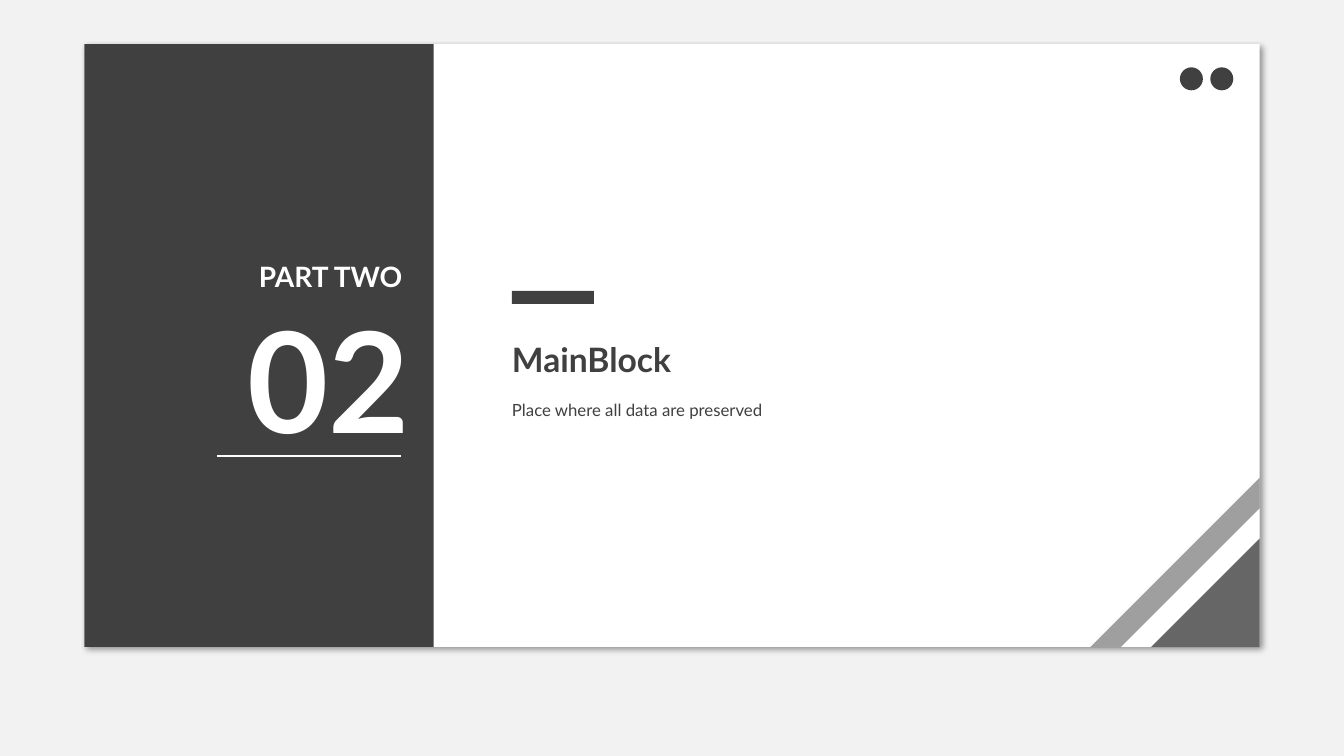
import lxml.etree
import pptx
import pptx.dml.color
import pptx.enum.shapes
import pptx.enum.text
import pptx.oxml.ns
import pptx.util

Pt = pptx.util.Pt
RGBColor = pptx.dml.color.RGBColor
Shape = pptx.enum.shapes.MSO_SHAPE
Align = pptx.enum.text.PP_ALIGN
qn = pptx.oxml.ns.qn

DARK = RGBColor(0x40, 0x40, 0x40)
WHITE = RGBColor(0xFF, 0xFF, 0xFF)
BACKGROUND = RGBColor(0xF2, 0xF2, 0xF2)
BLACK = RGBColor(0, 0, 0)


class SlideBuilder:
    font_name = "Lato"

    def __init__(self, slide):
        self.slide = slide
        fill = slide.background.fill
        fill.solid()
        fill.fore_color.rgb = BACKGROUND

    def set_alpha(self, color, percent):
        alpha = lxml.etree.SubElement(color, qn("a:alpha"))
        alpha.set("val", str(percent * 1000))

    def shape(self, kind, box, color, opacity=100, flipped=False):
        shape = self.slide.shapes.add_shape(kind, *map(Pt, box))
        shape.shadow.inherit = False
        shape.fill.solid()
        shape.fill.fore_color.rgb = color
        shape.line.fill.background()
        properties = shape._element.spPr
        if opacity < 100:
            self.set_alpha(properties.find(qn("a:solidFill"))[0], opacity)
        if flipped:
            properties.find(qn("a:xfrm")).set("flipH", "1")
        return shape

    def drop_shadow(self, shape, blur, distance, angle, opacity):
        effects = shape._element.spPr.find(qn("a:effectLst"))
        shadow = lxml.etree.SubElement(effects, qn("a:outerShdw"))
        values = {"blurRad": Pt(blur), "dist": Pt(distance),
                  "dir": angle * 60000, "algn": "tl", "rotWithShape": 0}
        for name, value in values.items():
            shadow.set(name, str(int(value) if name != "algn" else value))
        color = lxml.etree.SubElement(shadow, qn("a:srgbClr"))
        color.set("val", str(BLACK))
        self.set_alpha(color, opacity)

    def line(self, start, end, color, width):
        connector = self.slide.shapes.add_connector(
            pptx.enum.shapes.MSO_CONNECTOR.STRAIGHT, *map(Pt, start + end))
        connector.line.color.rgb = color
        connector.line.width = Pt(width)
        lxml.etree.SubElement(connector._element.spPr, qn("a:effectLst"))

    def text(self, box, wording, color, size, bold=False, **paragraph_format):
        frame = self.slide.shapes.add_textbox(*map(Pt, box)).text_frame
        frame.word_wrap = True
        frame.auto_size = pptx.enum.text.MSO_AUTO_SIZE.SHAPE_TO_FIT_TEXT
        paragraph = frame.paragraphs[0]
        for name, value in paragraph_format.items():
            setattr(paragraph, name, value)
        run = paragraph.add_run()
        run.text = wording
        run.font.color.rgb = color
        font_format = {"name": self.font_name, "size": Pt(size), "bold": bold}
        for name, value in font_format.items():
            setattr(run.font, name, value)


presentation = pptx.Presentation()
presentation.slide_width = Pt(960)
presentation.slide_height = Pt(540)
slide = presentation.slides.add_slide(presentation.slide_layouts[6])
builder = SlideBuilder(slide)

card_left, card_top, card_width, card_height = 60.3, 31.5, 839.5, 430.7
card_right = card_left + card_width
card_bottom = card_top + card_height
card = builder.shape(
    Shape.RECTANGLE, (card_left, card_top, card_width, card_height), WHITE)
builder.drop_shadow(card, blur=4, distance=3, angle=45, opacity=40)
builder.shape(Shape.RECTANGLE, (card_left, card_top, 249.5, card_height), DARK)

for side, color, opacity in ((121, DARK, 50), (99, WHITE, 100), (77.5, DARK, 80)):
    corner = (card_right - side, card_bottom - side, side, side)
    builder.shape(Shape.RIGHT_TRIANGLE, corner, color, opacity, flipped=True)

builder.line((155, 325.5), (286.2, 325.5), WHITE, 1.5)
builder.text((151.2, 206, 148.3, 128.2), "02", WHITE, 100, True, alignment=Align.RIGHT)
builder.text((167.8, 181.5, 126.7, 31.5), "PART TWO", WHITE, 20, True,
             alignment=Align.RIGHT)

builder.shape(Shape.RECTANGLE, (365.7, 207.8, 58.5, 9.3), DARK)
builder.text((358.6, 238.5, 151.2, 36), "MainBlock", DARK, 24, True,
             alignment=Align.JUSTIFY)
builder.text((358.6, 275, 442, 27.4), "Place where all data are preserved", DARK, 12,
             line_spacing=1.5)

dot_size, dot_step = 16.4, 21.7
for index in range(2):
    builder.shape(Shape.OVAL, (864.5 - index * dot_step, 48.1, dot_size, dot_size), DARK)

presentation.save("out.pptx")
